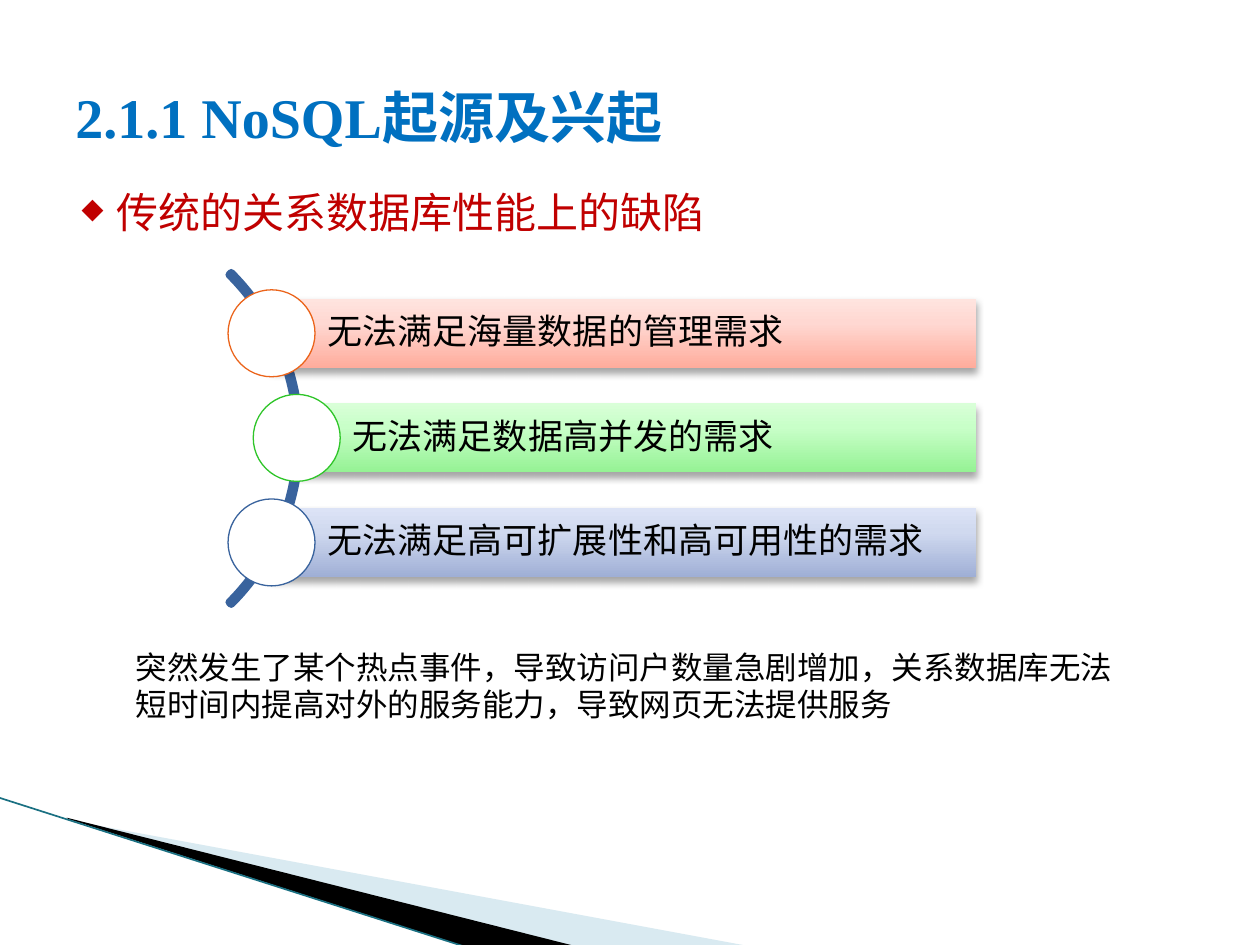
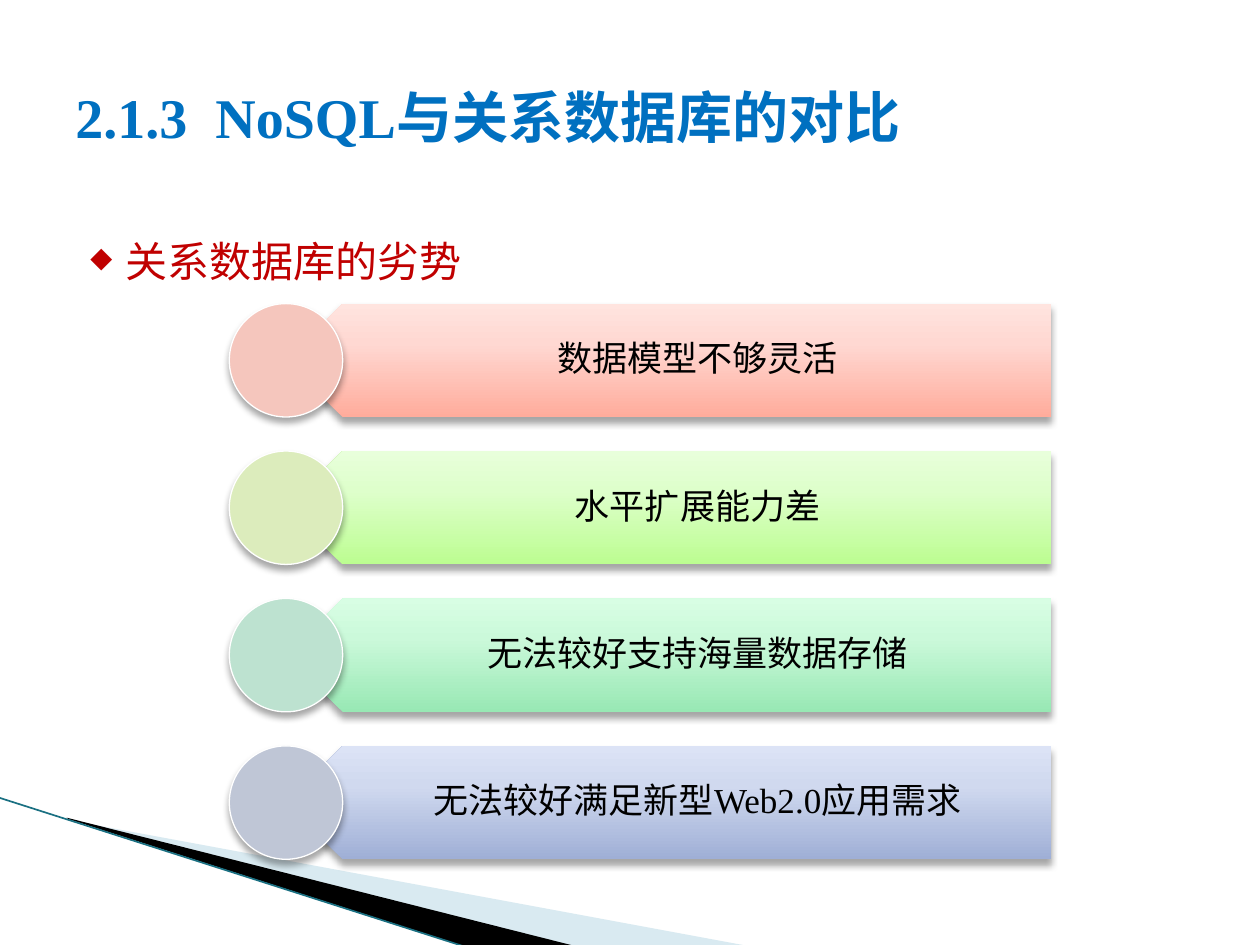
from lxml import etree
from pptx import Presentation, util as u
from pptx.dml.color import RGBColor
from pptx.enum import shapes, text
from pptx.oxml.ns import qn

Inches = u.Inches
SHAPE = shapes.MSO_SHAPE
ALIGN = text.PP_ALIGN

WHITE = RGBColor(0xFF, 0xFF, 0xFF)
BLACK = RGBColor(0, 0, 0)
TITLE_BLUE = RGBColor(0x00, 0x70, 0xC0)
HEAD_RED = RGBColor(0xC0, 0x00, 0x00)
PALE_BLUE = RGBColor(0xA0, 0xCB, 0xDC)
TEAL = RGBColor(0x1A, 0x70, 0x82)
ORANGE = RGBColor(0xEB, 0x64, 0x1B)
GREEN = RGBColor(0x2F, 0xC5, 0x29)
NAVY = RGBColor(0x39, 0x63, 0x9D)
ROSE_DISC = RGBColor(0xF5, 0xC6, 0xBD)
LIME_DISC = RGBColor(0xDC, 0xEC, 0xBC)
MINT_DISC = RGBColor(0xBD, 0xE2, 0xD0)
GREY_DISC = RGBColor(0xBF, 0xC6, 0xD6)

# Gradients run from the bottom edge (first colour) to the top edge
ROSE = [RGBColor.from_string(c) for c in ("FFAC9C", "FFD8D2", "FFE4DF")]
LEAF = [RGBColor.from_string(c) for c in ("95F294", "C8FFC8", "D9FFD8")]
LIME = [RGBColor.from_string(c) for c in ("BCFD91", "DEFFCB", "E8FFDB")]
MINT = [RGBColor.from_string(c) for c in ("98E8B4", "CBF9DA", "D8FEE4")]
BLUE = [RGBColor.from_string(c) for c in ("9FAFD6", "D0D9EF", "DCE3F6")]
STOPS = (0, 65, 100)

LATIN, CJK = "Times New Roman", "Noto Sans CJK SC"
TITLE = dict(size=u.Pt(32), name=LATIN, bold=True, color=TITLE_BLUE)
HEAD = dict(size=u.Pt(24), name=LATIN, color=HEAD_RED)
LABEL = dict(size=u.Pt(20), name=LATIN, color=BLACK)
NOTE = dict(size=u.Pt(18), name=CJK, color=BLACK)


def add(parent, tag, **attrs):
    """Append a DrawingML child element."""
    return etree.SubElement(parent, qn("a:" + tag), {k: str(v) for k, v in attrs.items()})


class Deck:
    def __init__(self):
        self.prs = Presentation()
        self.prs.slide_width, self.prs.slide_height = Inches(10), Inches(7.5)
        self.s = None

    def slide(self, title):
        self.s = self.prs.slides.add_slide(self.prs.slide_layouts[6])
        # Corner wedges and edge line
        self.wedge([(0.55, 6.51), (5.95, 7.51), (4.56, 7.51), (0.55, 6.5)], PALE_BLUE, 40)
        self.wedge([(0.53, 6.49), (4.57, 7.51), (3.72, 7.52), (0.54, 6.5)], BLACK)
        self.line((-0.01, 6.33), (3.71, 7.52), TEAL, 0.95)
        self.textbox(title, (0.5, 0.3, 8.83, 1.25), TITLE, anchor=text.MSO_ANCHOR.MIDDLE)

    def wedge(self, points, color, opacity=100):
        start, *rest = [(Inches(x), Inches(y)) for x, y in points]
        builder = self.s.shapes.build_freeform(*start)
        builder.add_line_segments(rest)
        sp = builder.convert_to_shape()
        self.paint(sp, color)
        if opacity < 100:
            add(sp._element.spPr.find(".//" + qn("a:srgbClr")), "alpha", val=opacity * 1000)

    def line(self, start, end, color, width):
        ends = [Inches(v) for v in (*start, *end)]
        sp = self.s.shapes.add_connector(shapes.MSO_CONNECTOR.STRAIGHT, *ends)
        sp.line.color.rgb, sp.line.width = color, u.Pt(width)
        add(sp._element.spPr, "effectLst")

    def paint(self, sp, fill=None, line=None, width=0.75, shadow=False):
        """Fill is a colour, a list of gradient colours, or None."""
        if fill is None:
            sp.fill.background()
        elif isinstance(fill, list):
            sp.fill.gradient()
            grad = sp._element.spPr.find(qn("a:gradFill"))
            for child in list(grad):
                grad.remove(child)
            stops = add(grad, "gsLst")
            for pos, color in zip(STOPS, fill):
                add(add(stops, "gs", pos=pos * 1000), "srgbClr", val=color)
            add(grad, "lin", ang=270 * 60000, scaled=0)
        else:
            sp.fill.solid()
            sp.fill.fore_color.rgb = fill
        if line is None:
            sp.line.fill.background()
        else:
            sp.line.color.rgb, sp.line.width = line, u.Pt(width)
        sp.shadow.inherit = False
        if shadow:
            effects = sp._element.spPr.find(qn("a:effectLst"))
            shade = add(effects, "outerShdw", blurRad=u.Pt(4), dist=u.Pt(3),
                        dir=90 * 60000, rotWithShape=0)
            add(add(shade, "srgbClr", val=BLACK), "alpha", val=35000)

    def shape(self, kind, box, **style):
        sp = self.s.shapes.add_shape(kind, *[Inches(v) for v in box])
        self.paint(sp, **style)
        return sp

    def put_text(self, tf, words, style, align=ALIGN.LEFT, spacing=None, insets=None,
                 anchor=text.MSO_ANCHOR.TOP, bullet=False):
        tf.word_wrap, tf.vertical_anchor = True, anchor
        if insets:
            for side, inset in zip(("left", "top", "right", "bottom"), insets):
                setattr(tf, "margin_" + side, Inches(inset))
        p = tf.paragraphs[0]
        if bullet:
            pPr = p._p.get_or_add_pPr()
            pPr.set("marL", str(Inches(0.4)))
            pPr.set("indent", str(Inches(-0.28)))
            add(add(pPr, "buClr"), "srgbClr", val=HEAD_RED)
            add(pPr, "buSzPct", val=68000)
            add(pPr, "buChar", char="◆")
        p.alignment = align
        if spacing:
            p.line_spacing = spacing
        r = p.add_run()
        r.text = words
        for key, value in style.items():
            if key == "color":
                r.font.color.rgb = value
            else:
                setattr(r.font, key, value)
        r.font._element.find(qn("a:latin")).addnext(
            etree.Element(qn("a:ea"), {"typeface": CJK}))

    def textbox(self, words, box, style, **layout):
        sp = self.s.shapes.add_textbox(*[Inches(v) for v in box])
        self.put_text(sp.text_frame, words, style, **layout)

    def heading(self, words, box):
        self.textbox(words, box, HEAD, spacing=1.5, bullet=True)

    def bar(self, kind, box, words, gradient, **layout):
        sp = self.shape(kind, box, fill=gradient, shadow=True)
        self.put_text(sp.text_frame, words, LABEL, spacing=0.9,
                      anchor=text.MSO_ANCHOR.MIDDLE, **layout)
        return sp


def origin_slide(deck):
    deck.slide("2.1.1 NoSQL起源及兴起")
    deck.heading("传统的关系数据库性能上的缺陷", (0.43, 1.23, 9, 0.87))

    # Arc with three beads, each carrying a bar
    arc = deck.shape(SHAPE.BLOCK_ARC, (-1.34, 1.62, 3.72, 3.72), line=NAVY, width=4.33)
    for i, value in enumerate((189, 27, 0.006)):
        arc.adjustments[i] = value
    defects = [("无法满足海量数据的管理需求", ROSE, ORANGE, 2.16),
               ("无法满足数据高并发的需求", LEAF, GREEN, 2.36),
               ("无法满足高可扩展性和高可用性的需求", BLUE, NAVY, 2.16)]
    bar_right, bar_height, bead = 7.75, 0.55, 0.69
    for i, (words, gradient, outline, left) in enumerate(defects):
        top = 2.37 + 0.83 * i
        deck.bar(SHAPE.RECTANGLE, (left, top, bar_right - left, bar_height), words, gradient,
                 insets=(0.44, 0.06, 0.06, 0.06))
        deck.shape(SHAPE.OVAL, (left - 0.35, top - 0.07, bead, bead), fill=WHITE, line=outline)

    deck.textbox("突然发生了某个热点事件，导致访问户数量急剧增加，关系数据库无法"
                 "短时间内提高对外的服务能力，导致网页无法提供服务",
                 (0.98, 5.09, 8.19, 0.71), NOTE)


def comparison_slide(deck):
    deck.slide("2.1.3  NoSQL与关系数据库的对比")
    deck.heading("关系数据库的劣势", (0.5, 1.62, 9, 0.75))

    # Left-pointing bars with discs
    weaknesses = [("数据模型不够灵活", ROSE, ROSE_DISC),
                  ("水平扩展能力差", LIME, LIME_DISC),
                  ("无法较好支持海量数据存储", MINT, MINT_DISC),
                  ("无法较好满足新型Web2.0应用需求", BLUE, GREY_DISC)]
    disc = 0.9
    for i, (words, gradient, color) in enumerate(weaknesses):
        top = 2.41 + 1.17 * i
        sp = deck.bar(SHAPE.PENTAGON, (2.27, top, 6.07, disc), words, gradient,
                      align=ALIGN.CENTER, insets=(0.4, 0.08, 0.16, 0.08))
        sp._element.spPr.find(qn("a:xfrm")).set("flipH", "1")
        deck.shape(SHAPE.OVAL, (1.82, top, disc, disc), fill=color, line=WHITE, shadow=True)


def main():
    deck = Deck()
    origin_slide(deck)
    comparison_slide(deck)
    deck.prs.save("out.pptx")


if __name__ == "__main__":
    main()
